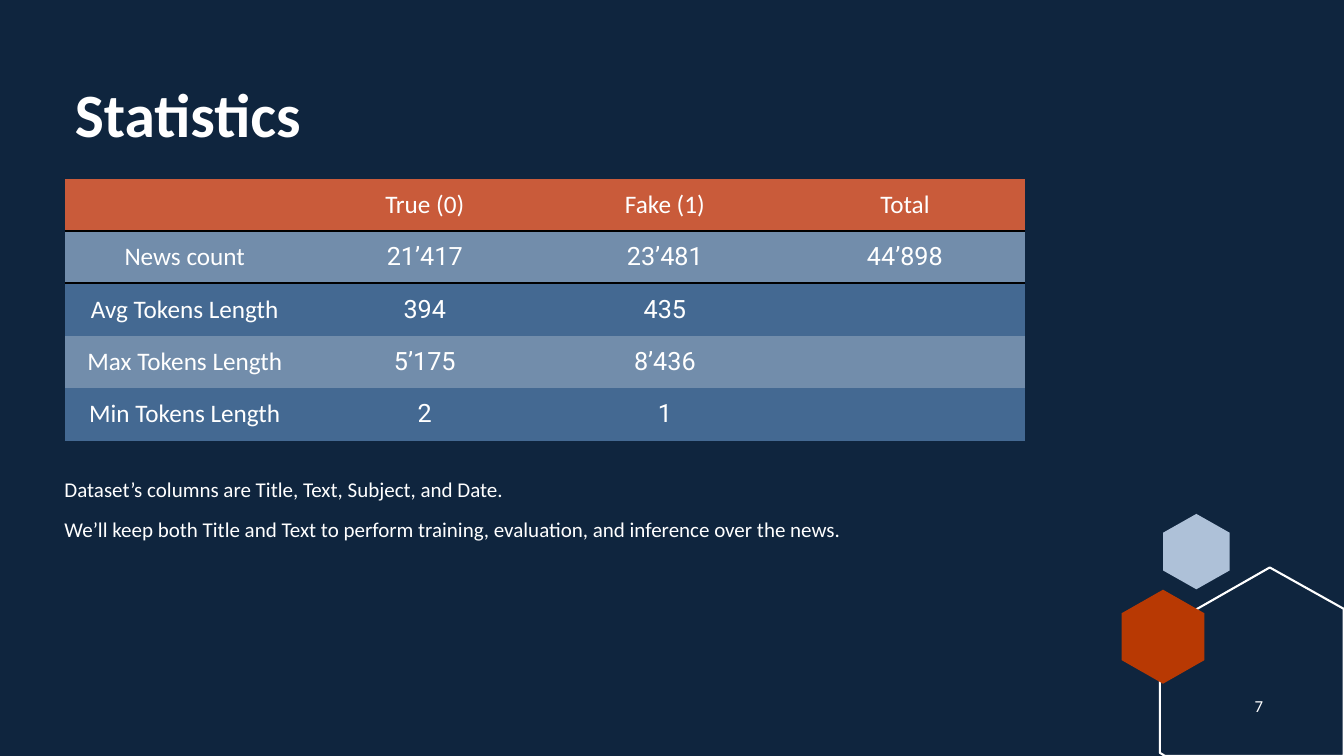
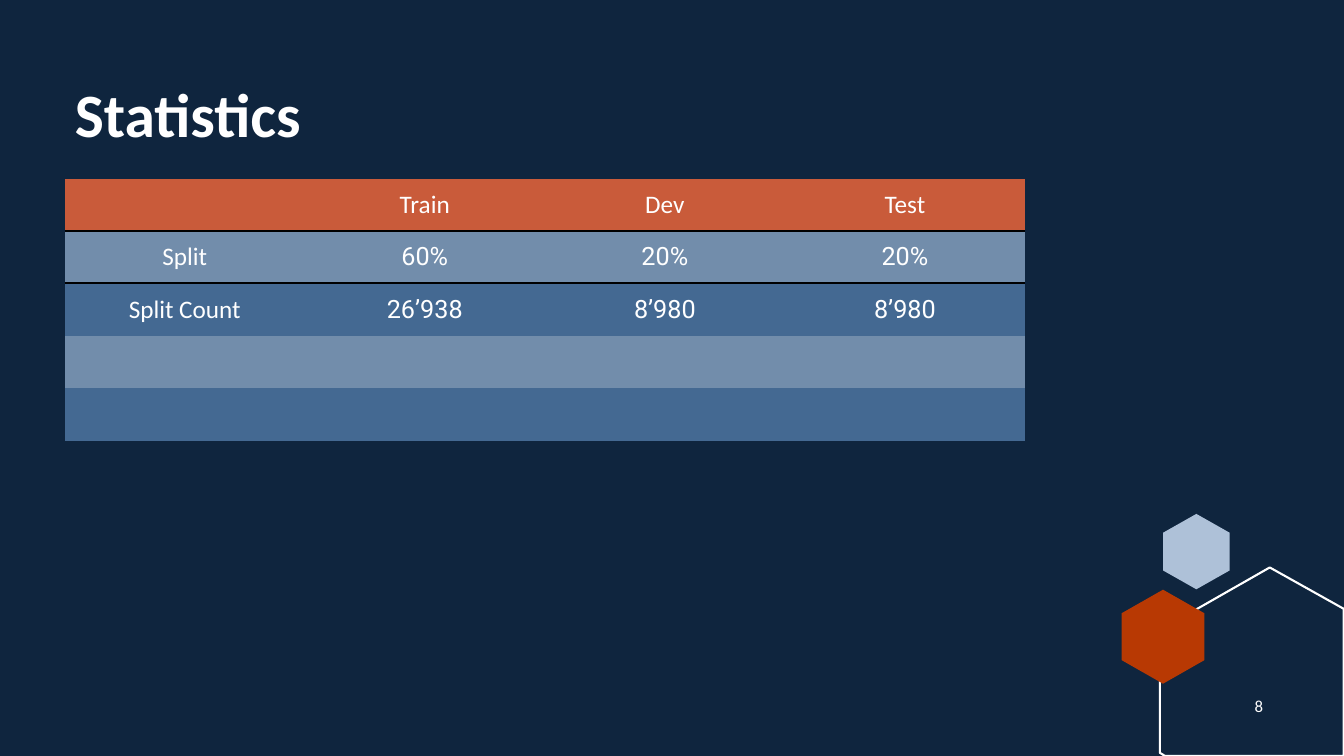
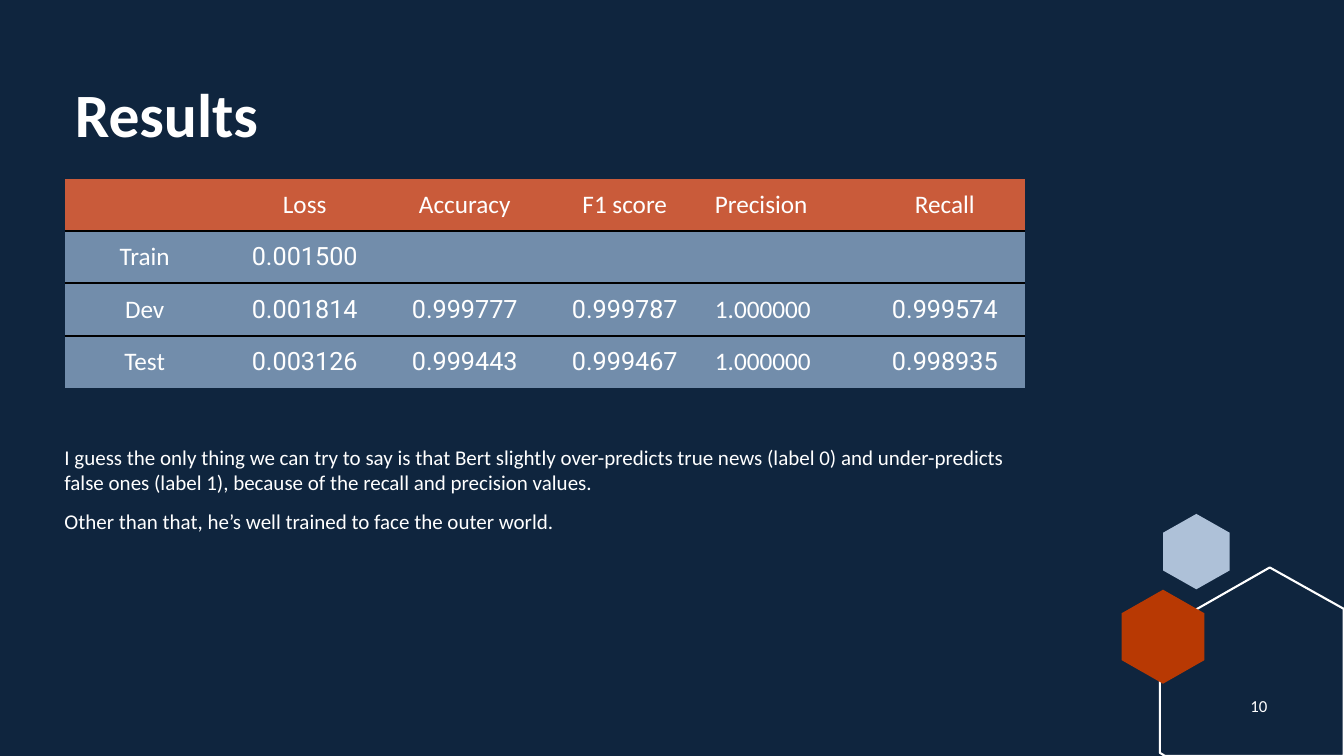
import lxml.etree
import pptx
import pptx.dml.color
import pptx.enum.text
import pptx.oxml.ns
import pptx.util

Cm = pptx.util.Cm
Pt = pptx.util.Pt
RGBColor = pptx.dml.color.RGBColor
Align = pptx.enum.text.PP_ALIGN
Anchor = pptx.enum.text.MSO_ANCHOR
qn = pptx.oxml.ns.qn

NAVY = RGBColor(0x0F, 0x25, 0x3E)
WHITE = RGBColor(0xFF, 0xFF, 0xFF)
BLACK = RGBColor(0x00, 0x00, 0x00)
PALE_BLUE = RGBColor(0xAE, 0xC1, 0xD8)
RUST = RGBColor(0xB8, 0x39, 0x03)
HEADER_ORANGE = RGBColor(0xC9, 0x5B, 0x3A)
LIGHT_BAND = RGBColor(0x72, 0x8D, 0xAB)
DARK_BAND = RGBColor(0x44, 0x69, 0x92)

TEXT_FONT = "Calibri"
NUMBER_FONT = "Roboto"
PLAIN_TABLE_STYLE = "{2D5ABB26-0587-4C30-8999-92F81FD0307C}"
TITLE_AND_CONTENT, TITLE_ONLY = 1, 5

TABLE_LEFT, TABLE_TOP, TABLE_WIDTH = 1.63, 4.5, 24.2
ROW_HEIGHT = 1.32
BODY_LEFT, BODY_HEIGHT = 1.37, 4.6


def place(shape, left, top, width, height):
    """Move and size a shape, in centimetres."""
    shape.left, shape.top = Cm(left), Cm(top)
    shape.width, shape.height = Cm(width), Cm(height)


def add_run(paragraph, text, size, font=TEXT_FONT, bold=False):
    """Add a white run to a paragraph."""
    run = paragraph.add_run()
    run.text = text
    run.font.name = font
    run.font.size = Pt(size)
    run.font.bold = bold
    run.font.color.rgb = WHITE


def hexagon_points(left, top, width, height):
    """Return the corners of a hexagon that stands on a corner."""
    middle, right = left + width / 2, left + width
    upper, lower = top + height / 4, top + height * 3 / 4
    return [(middle, top), (right, upper), (right, lower),
            (middle, top + height), (left, lower), (left, upper)]


def add_master_outline(presentation, slide, points, fill=None):
    """Draw a closed outline and put it on the slide master."""
    corners = [(Cm(x), Cm(y)) for x, y in points]
    builder = slide.shapes.build_freeform(*corners[0])
    builder.add_line_segments(corners[1:], close=True)
    shape = builder.convert_to_shape()
    shape.shadow.inherit = False
    if fill is None:
        shape.fill.background()
        shape.line.color.rgb = WHITE
        shape.line.width = Pt(1.5)
    else:
        shape.fill.solid()
        shape.fill.fore_color.rgb = fill
        shape.line.fill.background()
    master = presentation.slide_master
    properties = shape.element.find(qn("p:nvSpPr")).find(qn("p:cNvPr"))
    properties.set("id", str(20 + len(master.shapes)))
    master.shapes.element.append(shape.element)


def style_master(presentation, slide):
    """Give the master its background, title place and hexagons."""
    master = presentation.slide_master
    master.background.fill.solid()
    master.background.fill.fore_color.rgb = NAVY
    for placeholder in master.placeholders:
        if placeholder.placeholder_format.type == pptx.enum.shapes.PP_PLACEHOLDER.TITLE:
            place(placeholder, 1.63, 2, 30.25, 3.94)
            placeholder.text_frame.vertical_anchor = Anchor.TOP
    add_master_outline(presentation, slide, hexagon_points(29.31, 12.95, 1.68, 1.9), PALE_BLUE)
    add_master_outline(presentation, slide, [
        (32, 14.3), (33.86, 15.34), (33.86, 19.05),
        (29.36, 19.05), (29.23, 18.97), (29.23, 15.88)])
    add_master_outline(presentation, slide, hexagon_points(28.27, 14.86, 2.08, 2.37), RUST)


def add_slide(presentation, layout_index, title, number):
    """Add a slide with its title and slide number."""
    slide = presentation.slides.add_slide(presentation.slide_layouts[layout_index])
    paragraph = slide.shapes.title.text_frame.paragraphs[0]
    paragraph.alignment = Align.LEFT
    paragraph.line_spacing = 0.9
    add_run(paragraph, title, 44, bold=True)
    box = slide.shapes.add_textbox(Cm(31.09), Cm(17.27), Cm(1.27), Cm(1.02))
    box.text_frame.word_wrap = True
    box.text_frame.vertical_anchor = Anchor.MIDDLE
    paragraph = box.text_frame.paragraphs[0]
    paragraph.alignment = Align.CENTER
    add_run(paragraph, str(number), 12)
    return slide


def fill_body(slide, top, texts):
    """Write unbulleted paragraphs in the body placeholder."""
    body = slide.placeholders[1]
    place(body, BODY_LEFT, top, TABLE_WIDTH + TABLE_LEFT - BODY_LEFT, BODY_HEIGHT)
    frame = body.text_frame
    frame.auto_size = pptx.enum.text.MSO_AUTO_SIZE.NONE
    for index, text in enumerate(texts):
        paragraph = frame.add_paragraph() if index else frame.paragraphs[0]
        paragraph.space_before = Pt(10)
        add_run(paragraph, text, 15)
        properties = paragraph._p.get_or_add_pPr()
        properties.set("marL", "0")
        properties.set("indent", "0")
        lxml.etree.SubElement(properties, qn("a:buNone"))


def add_border(cell, side):
    """Draw a black line on one side of a cell."""
    line = lxml.etree.SubElement(
        cell._tc.get_or_add_tcPr(), qn("a:" + side), w=str(Pt(1.5)))
    fill = lxml.etree.SubElement(line, qn("a:solidFill"))
    lxml.etree.SubElement(fill, qn("a:srgbClr"), val=str(BLACK))


def add_data_table(slide, rows, bands, ruled_rows, text_columns=(0,)):
    """Add a table with a header, coloured bands and lines below ruled rows."""
    column_count = len(rows[0])
    frame = slide.shapes.add_table(
        len(rows), column_count, Cm(TABLE_LEFT), Cm(TABLE_TOP),
        Cm(TABLE_WIDTH), Cm(ROW_HEIGHT * len(rows)))
    table = frame.table
    table.horz_banding = False
    next(frame.element.iter(qn("a:tableStyleId"))).text = PLAIN_TABLE_STYLE
    for row_index, row in enumerate(rows):
        color = bands[(row_index - 1) % len(bands)] if row_index else HEADER_ORANGE
        for column_index, text in enumerate(row):
            cell = table.cell(row_index, column_index)
            if row_index - 1 in ruled_rows:
                add_border(cell, "lnT")
            if row_index in ruled_rows:
                add_border(cell, "lnB")
            cell.fill.solid()
            cell.fill.fore_color.rgb = color
            cell.vertical_anchor = Anchor.MIDDLE
            if text:
                is_text = row_index == 0 or column_index in text_columns
                is_left = column_index > 0 and column_index in text_columns
                paragraph = cell.text_frame.paragraphs[0]
                paragraph.alignment = Align.LEFT if is_left else Align.CENTER
                add_run(paragraph, text, 18, TEXT_FONT if is_text else NUMBER_FONT)


def main():
    """Build and save the presentation."""
    presentation = pptx.Presentation()
    presentation.slide_width, presentation.slide_height = Cm(33.87), Cm(19.05)

    slide = add_slide(presentation, TITLE_AND_CONTENT, "Statistics", 7)
    style_master(presentation, slide)
    add_data_table(slide, [
        ["", "True (0)", "Fake (1)", "Total"],
        ["News count", "21’417", "23’481", "44’898"],
        ["Avg Tokens Length", "394", "435", ""],
        ["Max Tokens Length", "5’175", "8’436", ""],
        ["Min Tokens Length", "2", "1", ""],
    ], [LIGHT_BAND, DARK_BAND], [0])
    fill_body(slide, 11.89, [
        "Dataset’s columns are Title, Text, Subject, and Date.",
        "We’ll keep both Title and Text to perform training, evaluation, "
        "and inference over the news.",
    ])

    slide = add_slide(presentation, TITLE_ONLY, "Statistics", 8)
    add_data_table(slide, [
        ["", "Train", "Dev", "Test"],
        ["Split", "60%", "20%", "20%"],
        ["Split Count", "26’938", "8’980", "8’980"],
        [""] * 4,
        [""] * 4,
    ], [LIGHT_BAND, DARK_BAND], [0])

    slide = add_slide(presentation, TITLE_AND_CONTENT, "Results", 10)
    add_data_table(slide, [
        ["", "Loss", "Accuracy", "F1 score", "Precision", "Recall"],
        ["Train", "0.001500", "", "", "", ""],
        ["Dev", "0.001814", "0.999777", "0.999787", "1.000000", "0.999574"],
        ["Test", "0.003126", "0.999443", "0.999467", "1.000000", "0.998935"],
    ], [LIGHT_BAND], [0, 1, 2], text_columns=(0, 4))
    fill_body(slide, 11.07, [
        "I guess the only thing we can try to say is that Bert slightly "
        "over-predicts true news (label 0) and under-predicts false ones "
        "(label 1), because of the recall and precision values.",
        "Other than that, he’s well trained to face the outer world.",
    ])

    presentation.save("out.pptx")


if __name__ == "__main__":
    main()
